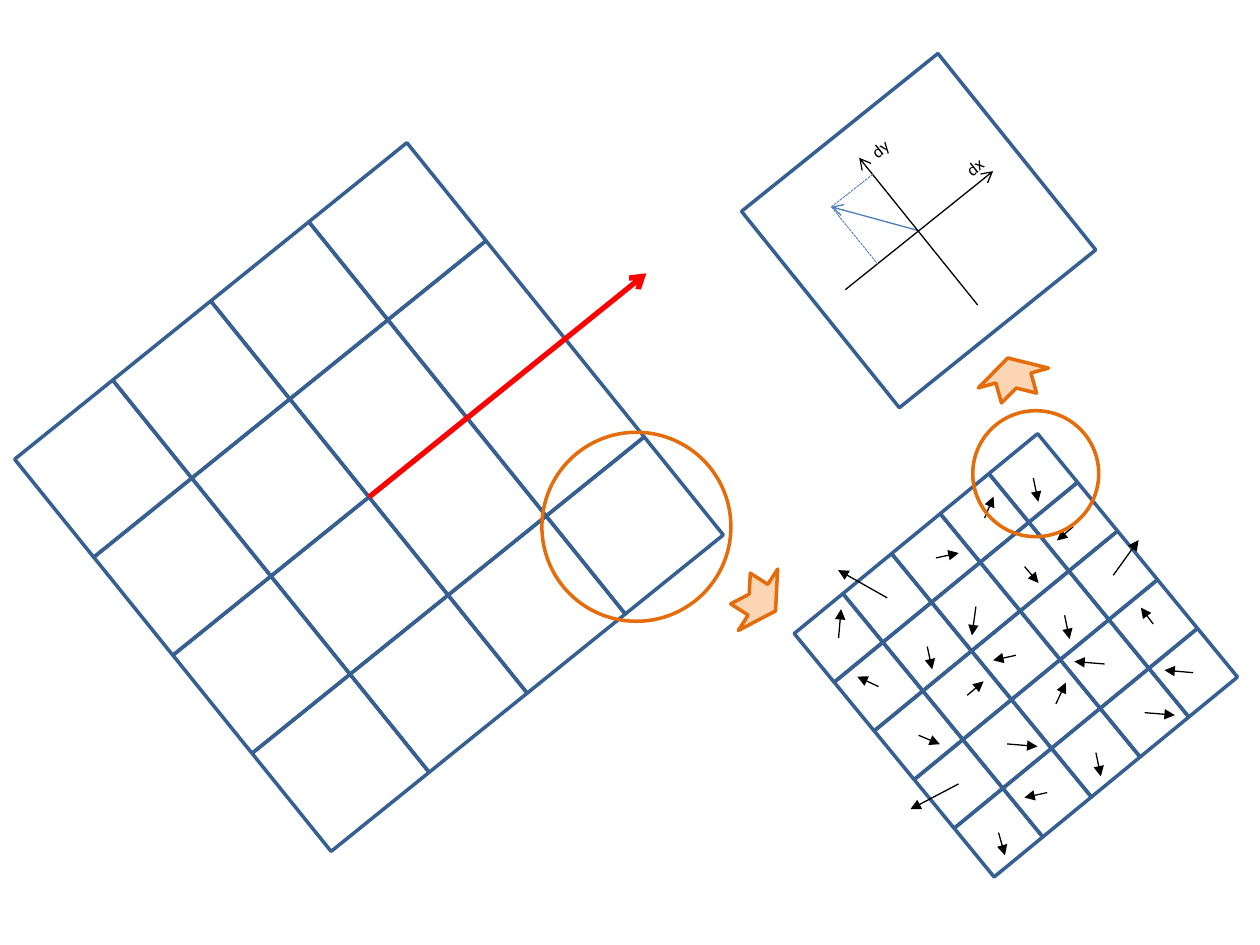
from dataclasses import dataclass
from math import cos, radians, sin

from lxml.etree import SubElement
from pptx import Presentation
from pptx.dml.color import RGBColor
from pptx.enum.dml import MSO_LINE
from pptx.enum.shapes import MSO_CONNECTOR, MSO_SHAPE
from pptx.enum.text import MSO_AUTO_SIZE
from pptx.oxml.ns import qn
from pptx.util import Cm, Pt

COLORS = {
    "grid": "376092",
    "direction": "FF0000",
    "axis": "000000",
    "vector": "4B7EBC",
    "callout": "E46C0A",
    "callout_fill": "FCD5B5",
}

Point = tuple[float, float]


@dataclass
class Grid:
    """Square cells around a centre, turned by an angle; lengths in cm."""
    center: Point
    count: int
    cell: float
    angle: float

    def cell_center(self, column: int, row: int) -> Point:
        across = (column - (self.count - 1) / 2) * self.cell
        down = (row - (self.count - 1) / 2) * self.cell
        turn = radians(self.angle)
        return (self.center[0] + across * cos(turn) - down * sin(turn),
                self.center[1] + across * sin(turn) + down * cos(turn))


@dataclass
class Line:
    start: Point
    end: Point
    color: str = "axis"
    width: float = 0.75
    head: str = "arrow"
    dashed: bool = False


@dataclass
class Label:
    text: str
    center: Point


WINDOW = Grid((7.44, 10.02), 4, 2.54, -38.9)
SAMPLES = Grid((20.48, 13.21), 5, 1.27, -39.4)
DETAIL = Grid((18.52, 4.65), 1, 5.08, -38.8)

# Gradient at each sample, one line per grid column, from top to bottom
GRADIENTS = [
    [(0.05, -0.58), (-0.43, -0.2), (0.43, 0.18), (-0.97, 0.51), (0.13, 0.46)],
    [(-0.99, -0.56), (0.1, 0.46), (0.33, -0.28), (0.61, 0.05), (-0.46, 0.1)],
    [(0.46, -0.1), (-0.08, 0.58), (-0.46, 0.1), (0.2, -0.43), (0.1, 0.48)],
    [(0.18, -0.43), (0.28, 0.33), (0.1, 0.48), (-0.61, -0.05), (0.61, 0.05)],
    [(0.1, 0.48), (-0.33, 0.28), (0.51, -0.71), (-0.25, -0.33), (-0.58, -0.05)],
]

VECTOR_TIP = (16.76, 4.17)
DETAIL_LINES = [
    Line(DETAIL.center, VECTOR_TIP, "vector"),
    Line((17.04, 5.84), (20.02, 3.45)),
    Line((19.71, 6.15), (17.32, 3.18)),
    Line(VECTOR_TIP, (17.6, 3.51), "vector", 0.5, "", True),
    Line(VECTOR_TIP, (17.7, 5.33), "vector", 0.5, "", True),
]
LABELS = [Label("dx", (19.74, 3.29)), Label("dy", (17.83, 2.93))]


def rgb(name: str) -> RGBColor:
    return RGBColor.from_string(COLORS[name])


def draw_shape(page, kind, center: Point, width: float, height: float,
               color: str, angle: float = 0, fill: str = "") -> None:
    shape = page.shapes.add_shape(kind, Cm(center[0] - width / 2),
                                  Cm(center[1] - height / 2), Cm(width), Cm(height))
    shape.rotation = angle
    shape.shadow.inherit = False
    shape.line.color.rgb = rgb(color)
    shape.line.width = Pt(2)
    if fill:
        shape.fill.solid()
        shape.fill.fore_color.rgb = rgb(fill)
    else:
        shape.fill.background()


def draw_grid(page, grid: Grid) -> None:
    for column in range(grid.count):
        for row in range(grid.count):
            draw_shape(page, MSO_SHAPE.RECTANGLE, grid.cell_center(column, row),
                       grid.cell, grid.cell, "grid", grid.angle)


def draw_line(page, line: Line) -> None:
    connector = page.shapes.add_connector(
        MSO_CONNECTOR.STRAIGHT, *(Cm(value) for value in line.start + line.end))
    connector.line.color.rgb = rgb(line.color)
    connector.line.width = Pt(line.width)
    if line.dashed:
        connector.line.dash_style = MSO_LINE.SQUARE_DOT
    if line.head:
        SubElement(connector.line._get_or_add_ln(), qn("a:tailEnd"), type=line.head)
    SubElement(connector._element.spPr, qn("a:effectLst"))


def draw_label(page, label: Label) -> None:
    width, height = 1.07, 0.69
    box = page.shapes.add_textbox(Cm(label.center[0] - width / 2),
                                  Cm(label.center[1] - height / 2), Cm(width), Cm(height))
    box.rotation = DETAIL.angle
    frame = box.text_frame
    frame.word_wrap = False
    frame.auto_size = MSO_AUTO_SIZE.SHAPE_TO_FIT_TEXT
    para = frame.paragraphs[0]
    para.text = label.text
    para.font.name = "Calibri"
    para.font.size = Pt(10)
    para.font.color.rgb = rgb("axis")


def main() -> None:
    deck = Presentation()
    deck.slide_width, deck.slide_height = Cm(25.4), Cm(19.05)
    page = deck.slides.add_slide(deck.slide_layouts[6])

    # Window with its main direction
    draw_grid(page, WINDOW)
    draw_line(page, Line(WINDOW.center, (13.03, 5.51), "direction", 3))

    # Samples of one window cell with their gradients
    draw_grid(page, SAMPLES)
    for column, gradients in enumerate(GRADIENTS):
        for row, (dx, dy) in enumerate(gradients):
            x, y = SAMPLES.cell_center(column, row)
            draw_line(page, Line((x, y), (x + dx, y + dy), head="triangle"))

    # One sample split into dx and dy
    draw_grid(page, DETAIL)
    for line in DETAIL_LINES:
        draw_line(page, line)
    for label in LABELS:
        draw_label(page, label)

    # Circles and arrows that lead from step to step
    for center, diameter in [((12.83, 10.62), 3.81), ((20.88, 9.55), 2.54)]:
        draw_shape(page, MSO_SHAPE.OVAL, center, diameter, diameter, "callout")
    for center, angle in [((15.28, 12.09), 32.6), ((20.43, 7.62), 254.2)]:
        draw_shape(page, MSO_SHAPE.NOTCHED_RIGHT_ARROW, center, 0.84, 1.47,
                   "callout", angle, "callout_fill")

    deck.save("out.pptx")


if __name__ == "__main__":
    main()
